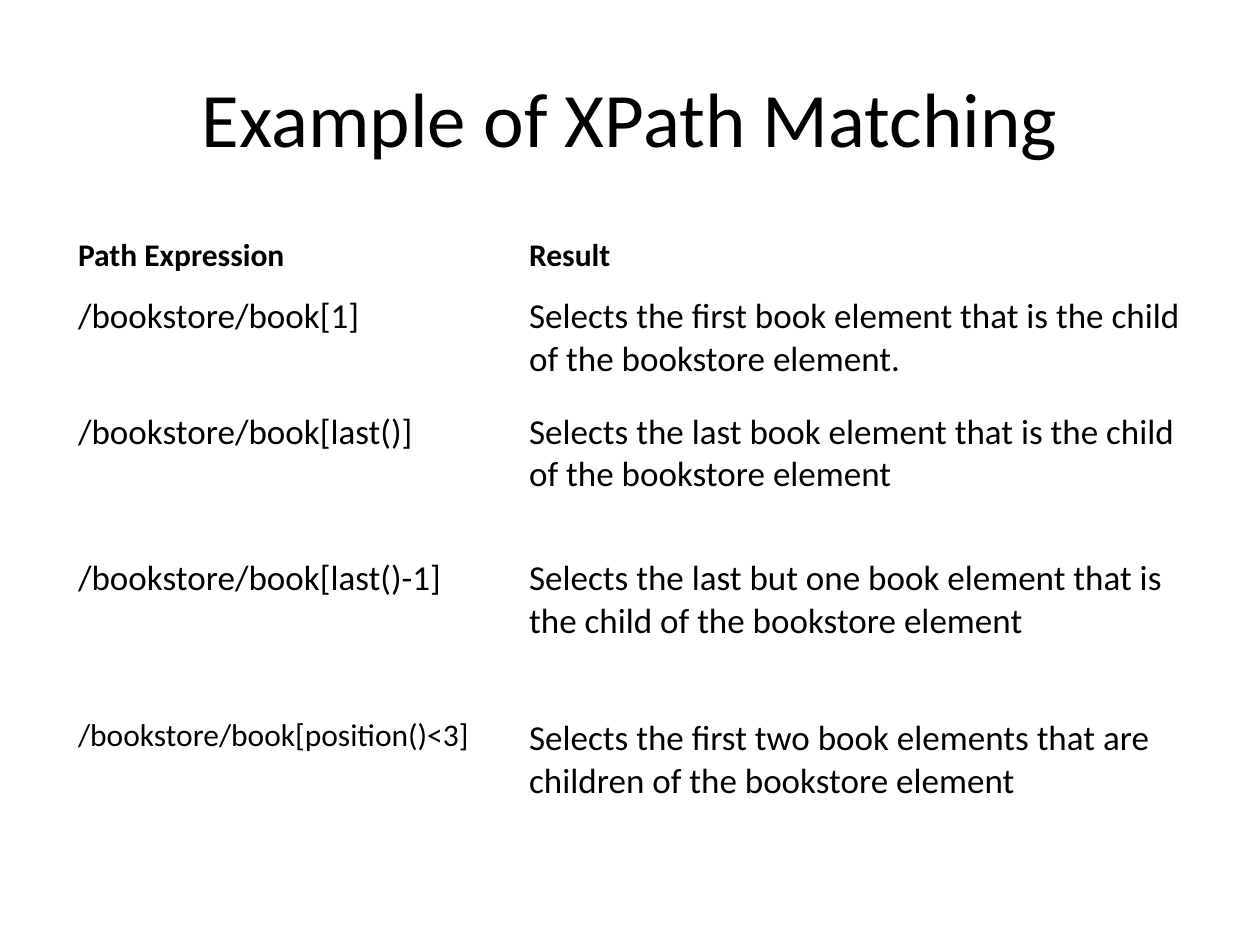
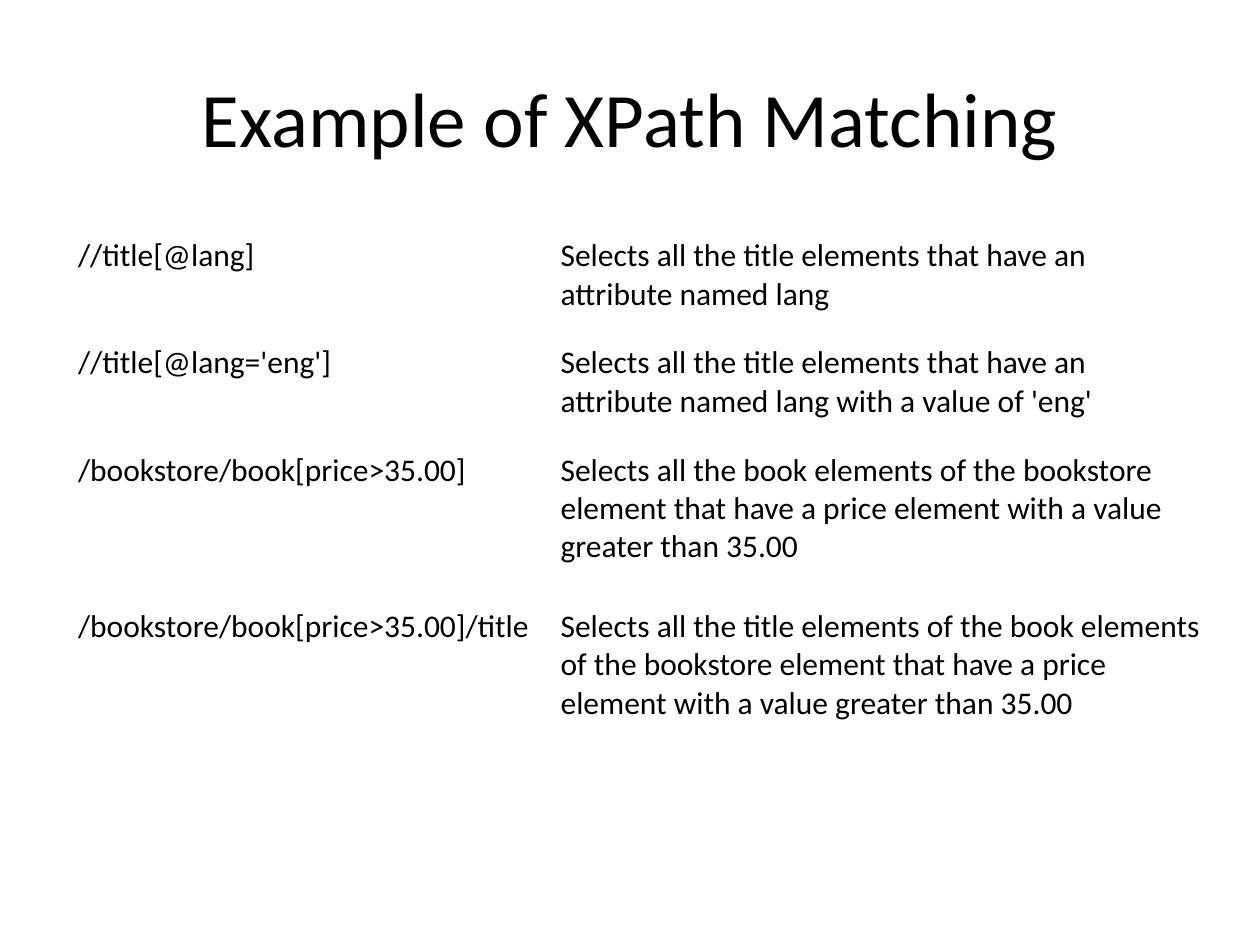
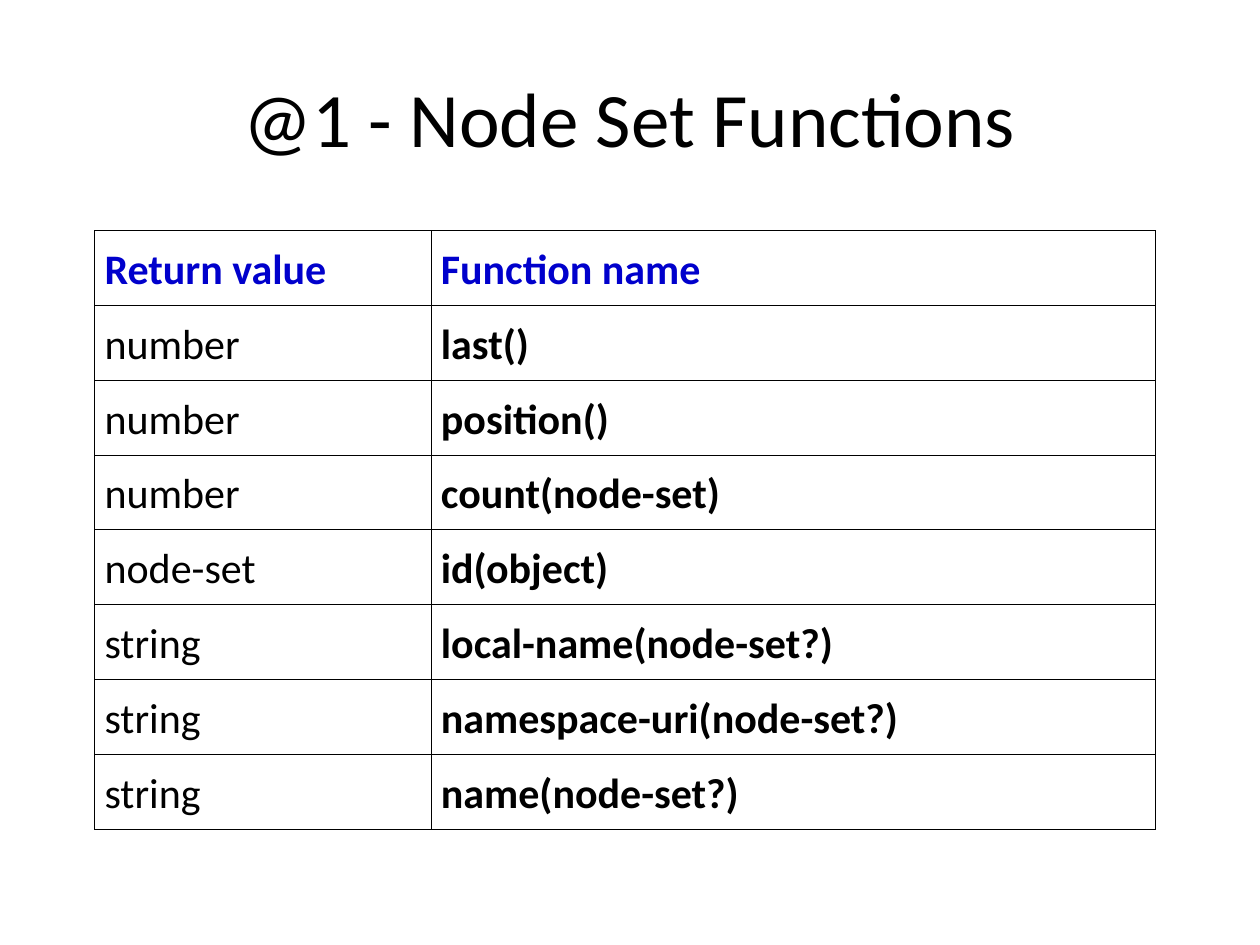
import pptx
import pptx.dml.color
import pptx.enum.text
import pptx.oxml
import pptx.oxml.ns
import pptx.util

# Content
MATCHING = "Example of XPath Matching"
POSITION_ROWS = [
    ("Path Expression", "Result"),
    ("/bookstore/book[1]",
     "Selects the first book element that is the child of the bookstore element."),
    ("/bookstore/book[last()]",
     "Selects the last book element that is the child of the bookstore element"),
    ("/bookstore/book[last()-1]",
     "Selects the last but one book element that is the child of the bookstore element"),
    ("/bookstore/book[position()<3]",
     "Selects the first two book elements that are children of the bookstore element"),
]
PREDICATE_ROWS = [
    ("//title[@lang]",
     "Selects all the title elements that have an attribute named lang"),
    ("//title[@lang='eng']",
     "Selects all the title elements that have an attribute named lang with a value of 'eng'"),
    ("/bookstore/book[price>35.00]",
     "Selects all the book elements of the bookstore element that have a price element "
     "with a value greater than 35.00"),
    ("/bookstore/book[price>35.00]/title",
     "Selects all the title elements of the book elements of the bookstore element "
     "that have a price element with a value greater than 35.00"),
]
FUNCTION_ROWS = [
    ("Return value", "Function name"),
    ("number", "last()"),
    ("number", "position()"),
    ("number", "count(node-set)"),
    ("node-set", "id(object)"),
    ("string", "local-name(node-set?)"),
    ("string", "namespace-uri(node-set?)"),
    ("string", "name(node-set?)"),
]

# Shared look
FONT = "Calibri"
COLORS = {"text": "000000", "header": "0000CC", "border": "000000"}
TITLE_BOX = (0.5, 0.3, 9, 1.25)
TABLE_TOP = 1.83
BORDER_PT = 0.45

# Formats: "header", "body", and (row, column) exceptions
SLIDES = [
    {"title": MATCHING, "rows": POSITION_ROWS, "left": 0.58, "inset": 0.04,
     "cols": [3.58, 5.33], "heights": [0.46, 0.92, 1.16, 1.27, 0.86],
     "header": {"size": 18, "bold": True}, "body": {"size": 20},
     "cells": {(4, 0): {"size": 18}}},
    {"title": MATCHING, "rows": PREDICATE_ROWS, "left": 0.58, "inset": 0.04,
     "cols": [3.83, 5.17], "heights": [0.85, 0.85, 1.24, 1.64],
     "body": {"size": 18}},
    {"title": "@1 - Node Set Functions", "rows": FUNCTION_ROWS, "left": 0.75, "inset": 0.08,
     "cols": [2.67, 5.75], "heights": [4.75 / len(FUNCTION_ROWS)] * len(FUNCTION_ROWS),
     "header": {"size": 24, "bold": True, "color": "header"}, "body": {"size": 24},
     "bold_cols": [1], "spacing": 1.15, "borders": True},
]


def inches(*values):
    return [pptx.util.Inches(v) for v in values]


def write(p, text, size, bold=False, color="text"):
    r = p.add_run()
    r.text = text
    for name, value in {"name": FONT, "size": pptx.util.Pt(size), "bold": bold}.items():
        setattr(r.font, name, value)
    r.font.color.rgb = pptx.dml.color.RGBColor.from_string(COLORS[color])


def add_title(slide, text):
    tf = slide.shapes.add_textbox(*inches(*TITLE_BOX)).text_frame
    tf.word_wrap = True
    tf.vertical_anchor = pptx.enum.text.MSO_ANCHOR.MIDDLE
    p = tf.paragraphs[0]
    p.alignment = pptx.enum.text.PP_ALIGN.CENTER
    write(p, text, 44)


def add_borders(cell):
    tc_pr = cell._tc.get_or_add_tcPr()
    for i, side in enumerate(("lnL", "lnR", "lnT", "lnB")):
        tc_pr.insert(i, pptx.oxml.parse_xml(
            f'<a:{side} {pptx.oxml.ns.nsdecls("a")} w="{pptx.util.Pt(BORDER_PT)}">'
            f'<a:solidFill><a:srgbClr val="{COLORS["border"]}"/></a:solidFill></a:{side}>'))


def cell_format(s, row, col):
    if row == 0 and "header" in s:
        return s["header"]
    fmt = {**s["body"], "bold": col in s.get("bold_cols", [])}
    return {**fmt, **s.get("cells", {}).get((row, col), {})}


def add_table(slide, s):
    box = inches(s["left"], TABLE_TOP, sum(s["cols"]), sum(s["heights"]))
    table = slide.shapes.add_table(len(s["rows"]), len(s["cols"]), *box).table
    table.first_row = "header" in s
    table.horz_banding = False
    for column, width in zip(table.columns, inches(*s["cols"])):
        column.width = width
    for row, height in zip(table.rows, inches(*s["heights"])):
        row.height = height
    for i, texts in enumerate(s["rows"]):
        for j, text in enumerate(texts):
            cell = table.cell(i, j)
            cell.margin_left = cell.margin_right = pptx.util.Inches(s["inset"])
            cell.fill.background()
            if s.get("borders"):
                add_borders(cell)
            p = cell.text_frame.paragraphs[0]
            p.line_spacing = s.get("spacing")
            write(p, text, **cell_format(s, i, j))


def main():
    prs = pptx.Presentation()
    prs.slide_width, prs.slide_height = inches(10, 7.5)
    for s in SLIDES:
        slide = prs.slides.add_slide(prs.slide_layouts[6])
        add_title(slide, s["title"])
        add_table(slide, s)
    prs.save("out.pptx")


if __name__ == "__main__":
    main()
